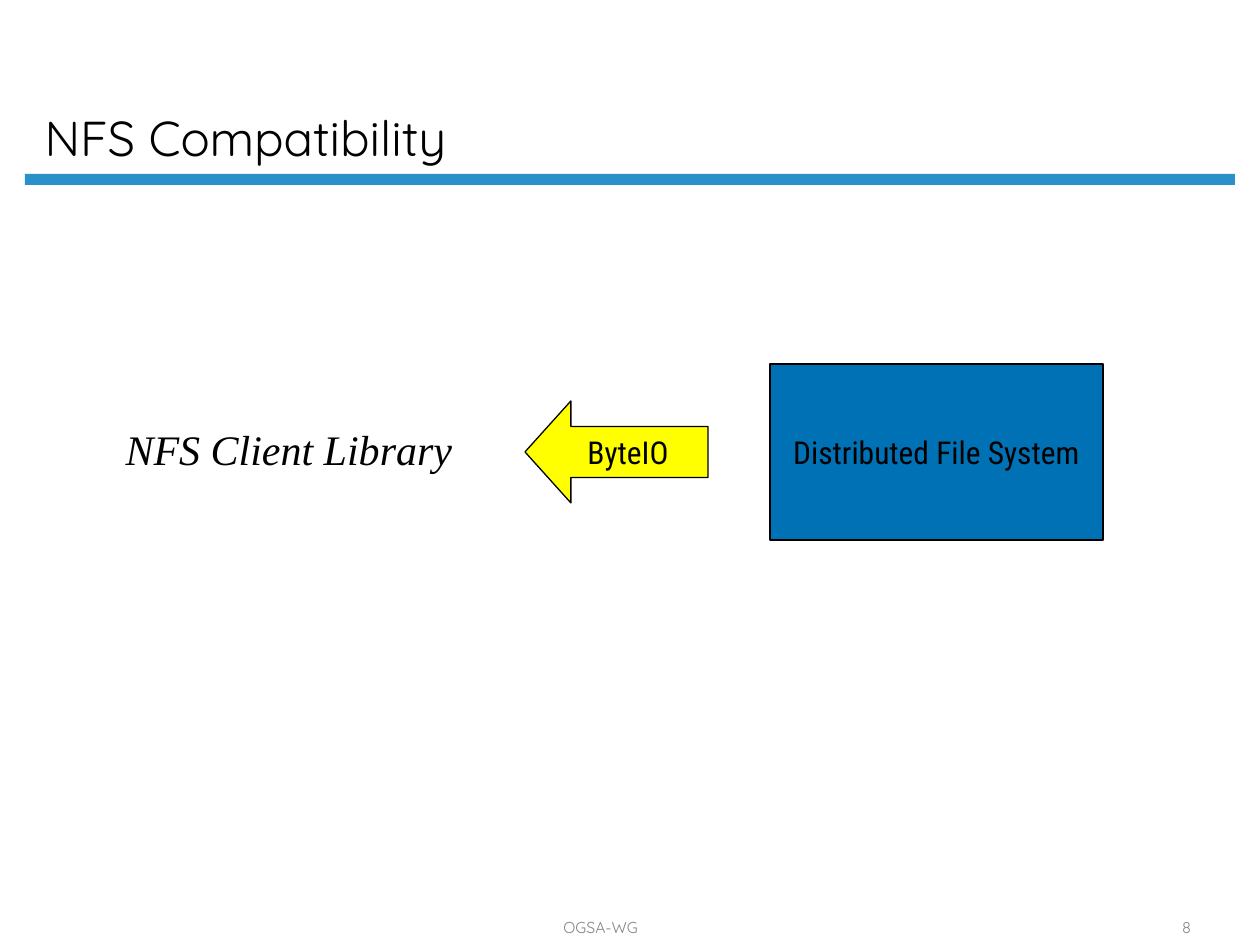
from pptx import Presentation
from pptx.dml.color import RGBColor
from pptx.enum.shapes import MSO_SHAPE as Kind
from pptx.enum.text import MSO_ANCHOR as Anchor, MSO_AUTO_SIZE as Auto, PP_ALIGN as Align
from pptx.util import Emu, Pt

PX = 914400 // 126
BLACK, GREY = "000000", "848589"
HEAD, BODY, SERIF = "Quicksand", "Roboto Condensed", "Times New Roman"

TITLE = ("NFS Compatibility", (32, 15, 1079, 158))
BAR = (Kind.RECTANGLE, (25, 174, 1210, 11), "2990CA")
BLOCKS = [
    ("Distributed File System", Kind.RECTANGLE, (770, 364, 333, 176), "0071B5"),
    ("ByteIO", Kind.LEFT_ARROW, (525, 401, 183, 102), "FFFF00"),
]
CLIENT = ("NFS Client Library", (113, 423, 352, 58))
FOOTER = [
    ("OGSA-WG", (294, 913, 613, 30)),
    ("8", (1134, 913, 105, 30)),
]


def scale(box):
    return [Emu(n * PX) for n in box]


def color(code):
    return RGBColor.from_string(code)


def write(shape, text, font=BODY, size=18, tint=BLACK, align=Align.CENTER,
          anchor=Anchor.MIDDLE, wrap=True, italic=False, lead=None):
    frame = shape.text_frame
    frame.auto_size = Auto.NONE
    frame.word_wrap = wrap
    frame.vertical_anchor = anchor
    para = frame.paragraphs[0]
    para.alignment = align
    para.line_spacing = lead
    run = para.add_run()
    run.text = text
    run.font.name = font
    run.font.size = Pt(size)
    run.font.italic = italic
    run.font.color.rgb = color(tint)


def draw(slide, kind, box, fill, line=None):
    shape = slide.shapes.add_shape(kind, *scale(box))
    shape.shadow.inherit = False
    shape.fill.solid()
    shape.fill.fore_color.rgb = color(fill)
    if line:
        shape.line.color.rgb = color(line)
        shape.line.width = Pt(0.75)
    else:
        shape.line.fill.background()
    return shape


def main():
    deck = Presentation()
    deck.slide_width, deck.slide_height = scale((1260, 945))
    slide = deck.slides.add_slide(deck.slide_layouts[5])

    draw(slide, *BAR)

    text, box = TITLE
    title = slide.shapes.title
    title.left, title.top, title.width, title.height = scale(box)
    write(title, text, font=HEAD, size=28, align=Align.LEFT,
          anchor=Anchor.BOTTOM, lead=0.9)

    for text, kind, box, fill in BLOCKS:
        shape = draw(slide, kind, box, fill, line=BLACK)
        if kind == Kind.LEFT_ARROW:
            shape.adjustments[1] = 0.45
        write(shape, text, wrap=False)

    text, box = CLIENT
    label = slide.shapes.add_textbox(*scale(box))
    write(label, text, font=SERIF, size=24, anchor=Anchor.TOP,
          wrap=False, italic=True, lead=0.9)
    label.text_frame.auto_size = Auto.SHAPE_TO_FIT_TEXT

    for text, box in FOOTER:
        note = slide.shapes.add_textbox(*scale(box))
        write(note, text, font=HEAD, size=9, tint=GREY, anchor=Anchor.BOTTOM)

    deck.save("out.pptx")


if __name__ == "__main__":
    main()
